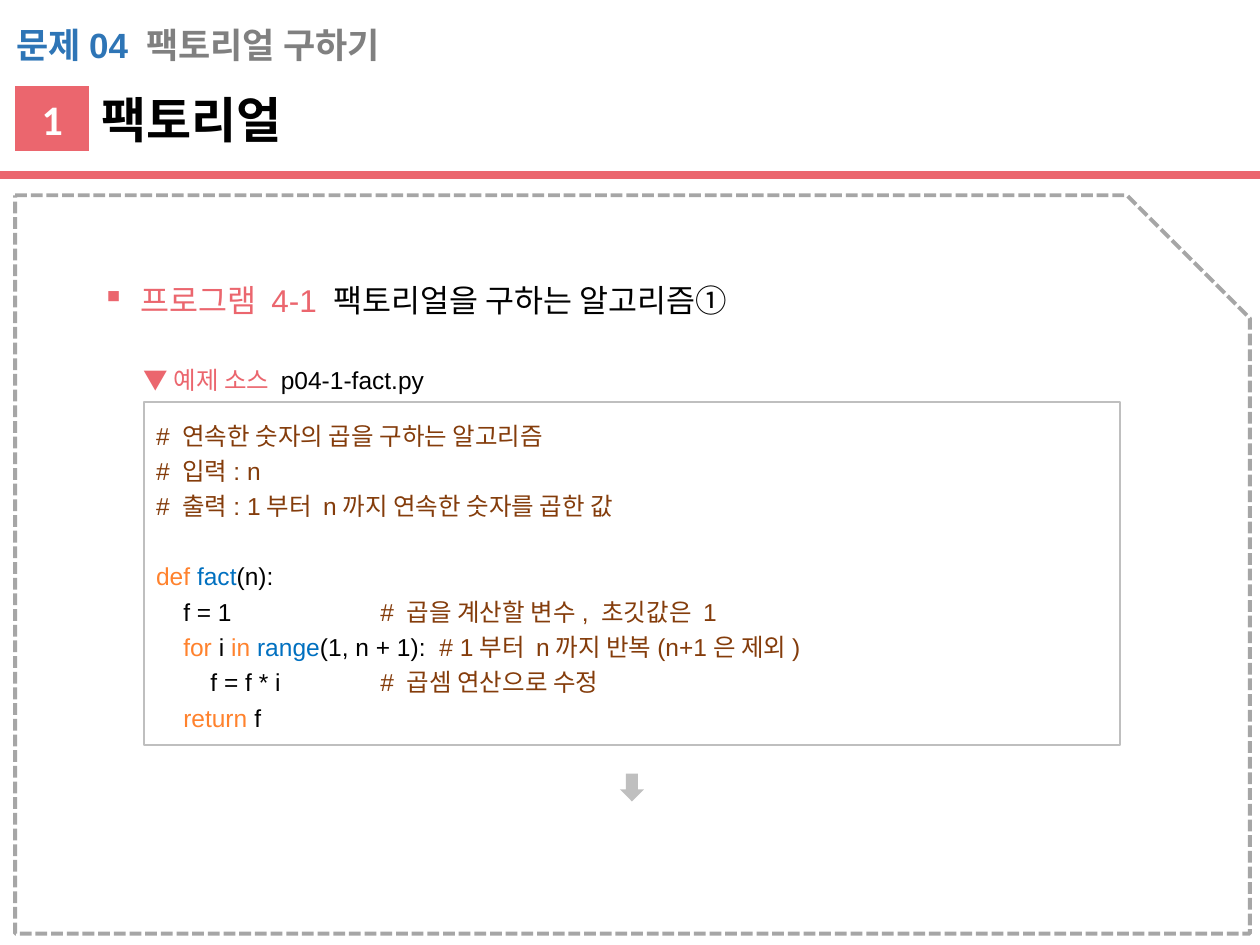
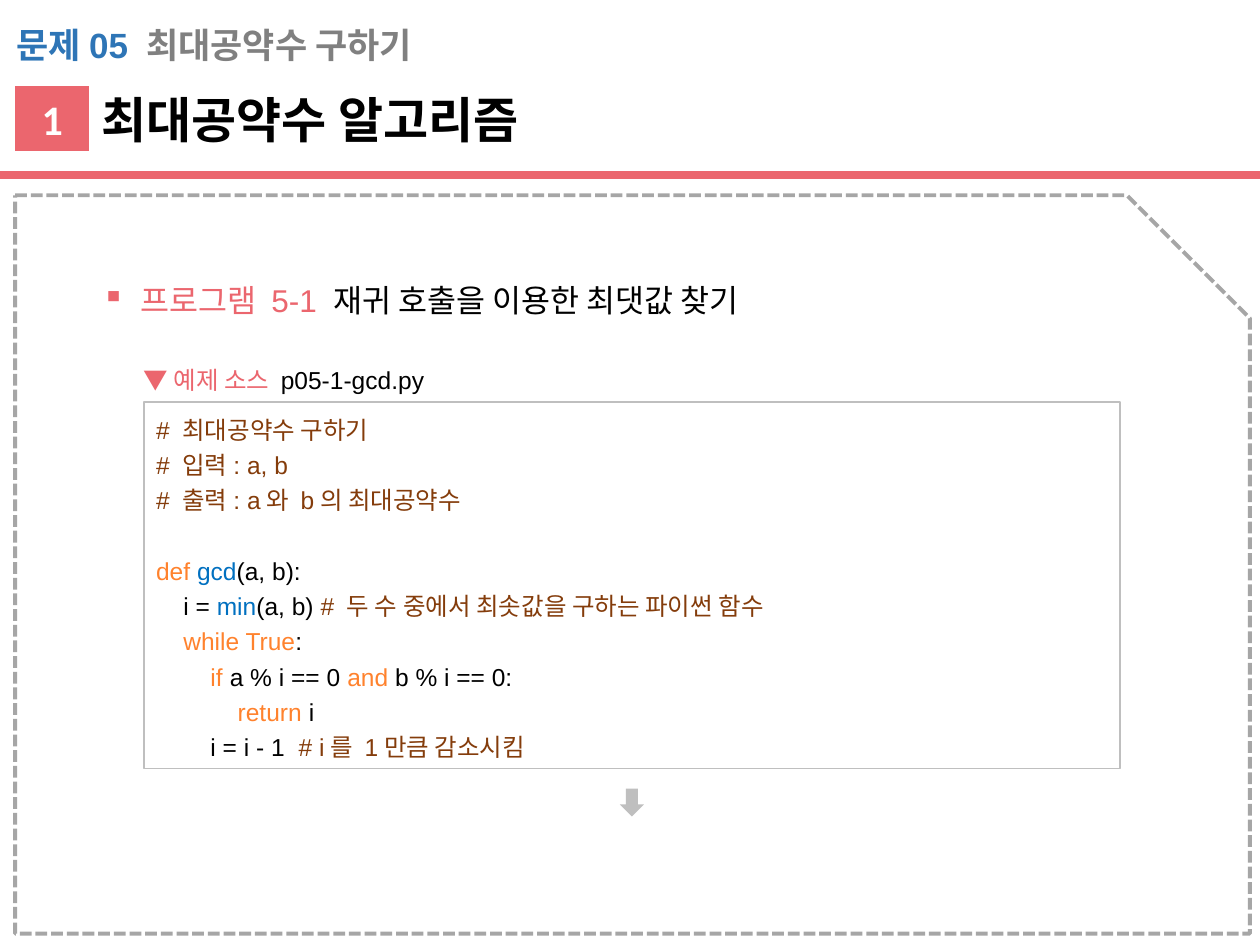
from lxml.etree import SubElement
from pptx import Presentation
from pptx.dml.color import RGBColor
from pptx.enum.dml import MSO_LINE
from pptx.enum.shapes import MSO_CONNECTOR, MSO_SHAPE
from pptx.enum.text import MSO_ANCHOR, MSO_AUTO_SIZE, PP_ALIGN
from pptx.oxml.ns import qn
from pptx.util import Inches, Pt

CORAL, BLACK, WHITE = "EB666E", "000000", "FFFFFF"
BLUE, GRAY, DASH_GRAY, LIGHT_GRAY = "2E75B6", "808080", "A6A6A6", "BFBFBF"
COMMENT, KEYWORD, NAME = "843C0B", "FF822D", "0070C0"
CODE_LEFT, CODE_TOP, CODE_WIDTH = 1.14, 3.19, 7.75
CODE_SIZE, BLANK_LINE, COMMENT_TAB = 14, 20, 1.78

# Each code line is a list of (text, colour) runs; an empty list is a blank line.
FACT_CODE = [
    [("# 연속한 숫자의 곱을 구하는 알고리즘", COMMENT)],
    [("# 입력: n", COMMENT)],
    [("# 출력: 1부터 n까지 연속한 숫자를 곱한 값", COMMENT)],
    [],
    [("def ", KEYWORD), ("fact", NAME), ("(n):", BLACK)],
    [("    f = 1\t", BLACK), ("# 곱을 계산할 변수, 초깃값은 1", COMMENT)],
    [("    for ", KEYWORD), ("i ", BLACK), ("in ", KEYWORD), ("range", NAME),
     ("(1, n + 1):  ", BLACK), ("# 1부터 n까지 반복(n+1은 제외)", COMMENT)],
    [("        f = f * i\t", BLACK), ("# 곱셈 연산으로 수정", COMMENT)],
    [("    return", KEYWORD), (" f", BLACK)],
]
GCD_CODE = [
    [("# 최대공약수 구하기", COMMENT)],
    [("# 입력: a, b", COMMENT)],
    [("# 출력: a와 b의 최대공약수", COMMENT)],
    [],
    [("def ", KEYWORD), ("gcd", NAME), ("(a, b):", BLACK)],
    [("    i = ", BLACK), ("min", NAME), ("(a, b) ", BLACK),
     ("# 두 수 중에서 최솟값을 구하는 파이썬 함수", COMMENT)],
    [("    while True", KEYWORD), (":", BLACK)],
    [("        if", KEYWORD), (" a % i == 0 ", BLACK), ("and", KEYWORD),
     (" b % i == 0:", BLACK)],
    [("            return ", KEYWORD), ("i", BLACK)],
    [("        i = i - 1  ", BLACK), ("# i를 1만큼 감소시킴", COMMENT)],
]


def rgb(value):
    return RGBColor.from_string(value)


def add_runs(p, runs, size, bold=False, font="Arial"):
    for text, color in runs:
        r = p.add_run()
        r.text = text
        r.font.name, r.font.size, r.font.bold = font, Pt(size), bold
        r.font.color.rgb = rgb(color)


def add_text(s, left, top, width, height, runs, size, bold=False):
    """Add a one-paragraph text box and return its paragraph."""
    box = s.shapes.add_textbox(Inches(left), Inches(top), Inches(width), Inches(height))
    tf = box.text_frame
    tf.word_wrap = True
    tf.auto_size = MSO_AUTO_SIZE.SHAPE_TO_FIT_TEXT
    p = tf.paragraphs[0]
    add_runs(p, runs, size, bold)
    return p


def add_box(s, kind, left, top, width, height, fill=None, line=None, weight=1):
    sp = s.shapes.add_shape(kind, Inches(left), Inches(top), Inches(width), Inches(height))
    sp.shadow.inherit = False
    if fill:
        sp.fill.solid()
        sp.fill.fore_color.rgb = rgb(fill)
    else:
        sp.fill.background()
    if line:
        sp.line.color.rgb = rgb(line)
        sp.line.width = Pt(weight)
    else:
        sp.line.fill.background()
    return sp


def add_rule(s, top):
    """Add the coral line across the full slide width."""
    line = s.shapes.add_connector(MSO_CONNECTOR.STRAIGHT, 0, Inches(top),
                                  Inches(10), Inches(top))
    line.line.color.rgb = rgb(CORAL)
    line.line.width = Pt(4.5)
    SubElement(line._element.spPr, qn("a:effectLst"))


def add_header(s, problem, topic, title):
    frame = add_box(s, MSO_SHAPE.SNIP_1_RECTANGLE, 0.12, 1.55, 9.8, 5.86,
                    line=DASH_GRAY, weight=2.25)
    frame.line.dash_style = MSO_LINE.SQUARE_DOT
    add_rule(s, 1.39)
    add_text(s, 0.03, 0.14, 9.45, 0.44, [(problem + " ", BLUE), (topic, GRAY)], 20, True)
    badge = add_box(s, MSO_SHAPE.FLOWCHART_PROCESS, 0.12, 0.68, 0.59, 0.52, fill=CORAL)
    badge.text_frame.vertical_anchor = MSO_ANCHOR.MIDDLE
    p = badge.text_frame.paragraphs[0]
    p.alignment = PP_ALIGN.CENTER
    add_runs(p, [("1", WHITE)], 24, True, "Calibri")
    add_text(s, 0.71, 0.66, 9.21, 0.57, [(title, BLACK)], 28, True)


def add_program_heading(s, number, name):
    p = add_text(s, 0.71, 1.99, 8.7, 0.6,
                 [(f"프로그램 {number} ", CORAL), (name, BLACK)], 18)
    p.line_spacing = 1.65
    pPr = p._p.get_or_add_pPr()
    pPr.set("marL", str(Inches(0.31)))
    pPr.set("indent", str(Inches(-0.31)))
    SubElement(SubElement(pPr, qn("a:buClr")), qn("a:srgbClr"), val=CORAL)
    SubElement(pPr, qn("a:buChar"), char="▪")


def add_comment_tab(p):
    tabs = SubElement(p._p.get_or_add_pPr(), qn("a:tabLst"))
    SubElement(tabs, qn("a:tab"), pos=str(Inches(COMMENT_TAB)), algn="l")


def add_code(s, lines, height):
    sp = add_box(s, MSO_SHAPE.RECTANGLE, CODE_LEFT, CODE_TOP, CODE_WIDTH, height,
                 line=LIGHT_GRAY)
    tf = sp.text_frame
    tf.word_wrap = True
    tf.vertical_anchor = MSO_ANCHOR.MIDDLE
    gap, p = 0, None
    for runs in lines:
        if not runs:
            gap += BLANK_LINE
            continue
        p = tf.add_paragraph() if p else tf.paragraphs[0]
        p.alignment = PP_ALIGN.LEFT
        p.line_spacing = 1.2
        if gap:
            p.space_before = Pt(gap)
            gap = 0
        if any("\t" in text for text, _ in runs):
            add_comment_tab(p)
        add_runs(p, runs, CODE_SIZE)


def add_program_slide(prs, problem, topic, title, number, name, file_name,
                      code, code_height, arrow_top):
    s = prs.slides.add_slide(prs.slide_layouts[6])
    add_header(s, problem, topic, title)
    add_program_heading(s, number, name)
    add_code(s, code, code_height)
    add_text(s, 1.04, 2.85, 3.42, 0.34,
             [("▼ 예제 소스 ", CORAL), (file_name, BLACK)], CODE_SIZE)
    add_box(s, MSO_SHAPE.DOWN_ARROW, 4.92, arrow_top, 0.19, 0.22, fill=LIGHT_GRAY)


def main():
    prs = Presentation()
    prs.slide_width, prs.slide_height = Inches(10), Inches(7.5)
    add_program_slide(prs, "문제04", "팩토리얼 구하기", "팩토리얼",
                      "4-1", "팩토리얼을 구하는 알고리즘①", "p04-1-fact.py",
                      FACT_CODE, 2.72, 6.14)
    add_program_slide(prs, "문제05", "최대공약수 구하기", "최대공약수 알고리즘",
                      "5-1", "재귀 호출을 이용한 최댓값 찾기", "p05-1-gcd.py",
                      GCD_CODE, 2.91, 6.26)
    prs.save("out.pptx")


if __name__ == "__main__":
    main()
